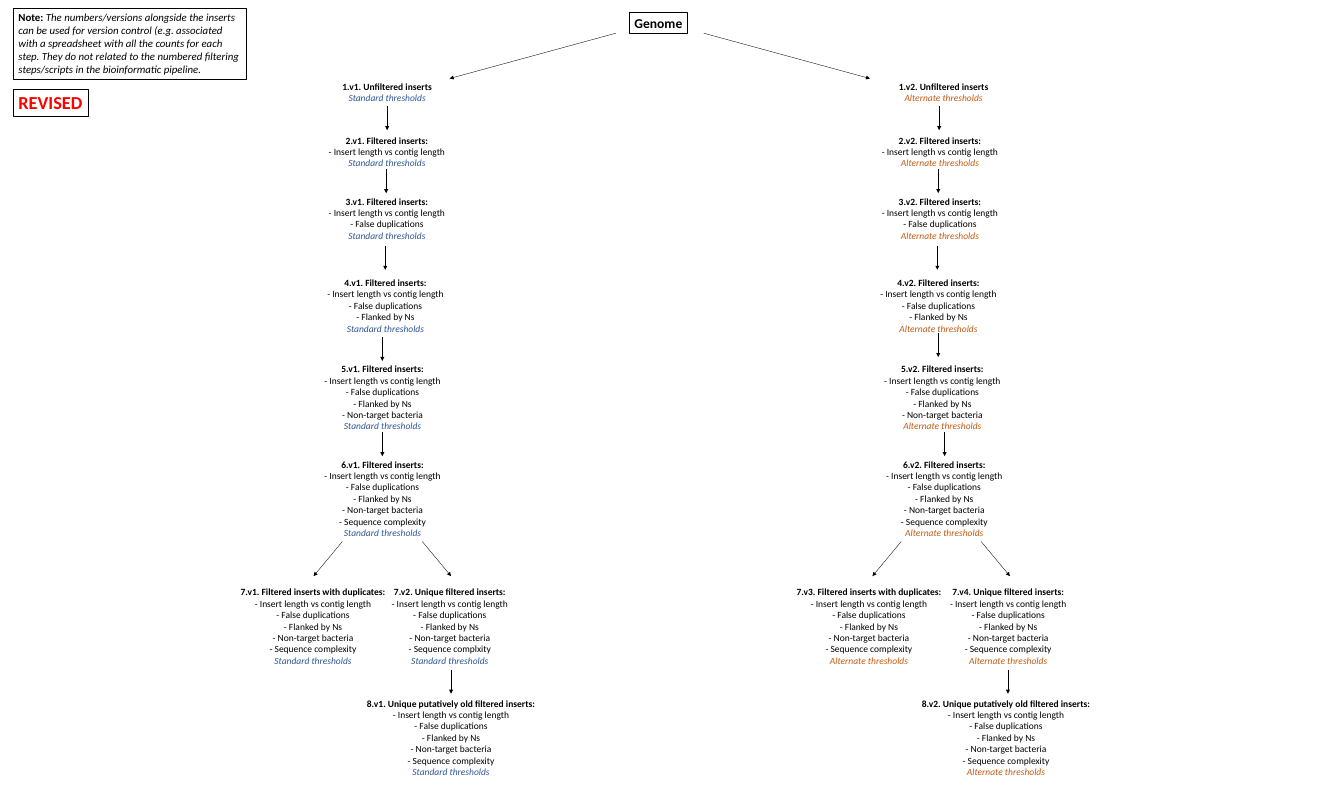
from dataclasses import dataclass

from lxml import etree
from pptx import Presentation
from pptx import util as u
from pptx.dml.color import RGBColor
from pptx.enum import shapes, text
from pptx.oxml.ns import qn

PX = 9144  # EMU in one px: 100 px to the inch


@dataclass(frozen=True)
class Theme:
    font: str = "Calibri"
    ink: str = "000000"
    blue: str = "2F5597"
    rust: str = "C55A11"
    red: str = "FF0000"
    step: int = 14
    note: int = 16
    head: int = 20
    flag: int = 27


T = Theme()

FILTERS = ["Insert length vs contig length", "False duplications",
           "Flanked by Ns", "Non-target bacteria", "Sequence complexity"]

# name, number of filters, width, top, then (tag, left) for each branch
STEPS = [
    ("Unfiltered inserts", 0, 206, 161, ("1.v1", 691), ("1.v2", 1832)),
    ("Filtered inserts:", 1, 261, 271, ("2.v1", 663), ("2.v2", 1797)),
    ("Filtered inserts:", 2, 261, 396, ("3.v1", 663), ("3.v2", 1797)),
    ("Filtered inserts:", 3, 261, 563, ("4.v1", 660), ("4.v2", 1794)),
    ("Filtered inserts:", 4, 261, 740, ("5.v1", 654), ("5.v2", 1802)),
    ("Filtered inserts:", 5, 261, 935, ("6.v1", 654), ("6.v2", 1806)),
    ("Filtered inserts with duplicates:", 5, 320, 1197,
     ("7.v1", 482), ("7.v3", 1622)),
    ("Unique filtered inserts:", 5, 261, 1197, ("7.v2", 792), ("7.v4", 1937)),
    ("Unique putatively old filtered inserts:", 5, 368, 1425,
     ("8.v1", 741), ("8.v2", 1879)),
]
BRANCHES = [("Standard thresholds", T.blue), ("Alternate thresholds", T.rust)]

# x and top of each downward arrow
DROPS = [(794, 218), (792, 347), (790, 504), (784, 691), (784, 886), (925, 1373),
         (1926, 218), (1924, 347), (1922, 504), (1924, 683), (1937, 886),
         (2067, 1373)]
DROP = 49


def px(*sizes):
    return [u.Emu(size * PX) for size in sizes]


def write(para, words, size=T.step, color=T.ink, bold=False, italic=False):
    run = para.add_run()
    run.text = words
    font = run.font
    font.name, font.size = T.font, u.Pt(size)
    font.bold, font.italic = bold, italic
    font.color.rgb = RGBColor.from_string(color)


def set_frame(shape, wrap=False, align=text.PP_ALIGN.LEFT):
    """Set up the text frame and return its first paragraph."""
    frame = shape.text_frame
    frame.word_wrap = wrap
    frame.auto_size = text.MSO_AUTO_SIZE.NONE
    frame.vertical_anchor = text.MSO_ANCHOR.TOP
    para = frame.paragraphs[0]
    para.alignment = align
    return para


def outline(shape, width):
    shape.line.color.rgb = RGBColor.from_string(T.ink)
    shape.line.width = u.Pt(width)


def add_title(slide):
    title = slide.shapes.title
    title.left, title.top, title.width, title.height = px(1291, 25, 119, 44)
    outline(title, 1.5)
    write(set_frame(title), "Genome", size=T.head, bold=True)


def add_frame(slide, box, wrap=False):
    """Add an outlined box and return its first paragraph."""
    shape = slide.shapes.add_shape(shapes.MSO_SHAPE.RECTANGLE, *px(*box))
    shape.shadow.inherit = False
    shape.fill.background()
    outline(shape, 0.75)
    return set_frame(shape, wrap)


def add_step(slide, head, filters, limit, color, left, top, width):
    high = (115 + 47 * len(filters)) // 2
    box = slide.shapes.add_textbox(*px(left, top, width, high))
    center = text.PP_ALIGN.CENTER
    write(set_frame(box, align=center), head, bold=True)
    lines = [(f"- {name}", {}) for name in filters]
    lines.append((limit, {"color": color, "italic": True}))
    for words, style in lines:
        para = box.text_frame.add_paragraph()
        para.alignment = center
        write(para, words, **style)


def add_arrow(slide, *ends):
    line = slide.shapes.add_connector(shapes.MSO_CONNECTOR.STRAIGHT, *px(*ends))
    outline(line, 0.5)
    etree.SubElement(line.line._get_or_add_ln(), qn("a:tailEnd"), type="triangle")
    etree.SubElement(line._element.spPr, qn("a:effectLst"))


def add_fork(slide, mid, near, far, top, end):
    """Add two arrows that spread from mid, near apart at top and far at end."""
    for side in (-1, 1):
        add_arrow(slide, mid + side * near, top, mid + side * far, end)


def main():
    deck = Presentation()
    deck.slide_width, deck.slide_height = px(2756, 1609)
    slide = deck.slides.add_slide(deck.slide_layouts[5])

    add_title(slide)
    note = add_frame(slide, (28, 17, 477, 145), wrap=True)
    write(note, "Note: ", size=T.note, bold=True)
    write(note, "The numbers/versions alongside the inserts can be used for "
          "version control (e.g. associated with a spreadsheet with all the "
          "counts for each step. They do not related to the numbered filtering "
          "steps/scripts in the bioinformatic pipeline.",
          size=T.note, italic=True)
    flag = add_frame(slide, (28, 183, 153, 56))
    write(flag, "REVISED", size=T.flag, color=T.red, bold=True)

    for name, count, width, top, *places in STEPS:
        for (tag, left), (limit, color) in zip(places, BRANCHES):
            filters = FILTERS[:count]
            if tag == "7.v2":
                filters[-1] = "Sequence complxity"
            add_step(slide, f"{tag}. {name}", filters, limit, color,
                     left, top, width)

    add_fork(slide, 1353, 90, 431, 68, 161)
    for mid in (784, 1930):
        add_fork(slide, mid, 82, 141, 1110, 1181)
    for x, top in DROPS:
        add_arrow(slide, x, top, x, top + DROP)

    deck.save("out.pptx")


if __name__ == "__main__":
    main()
